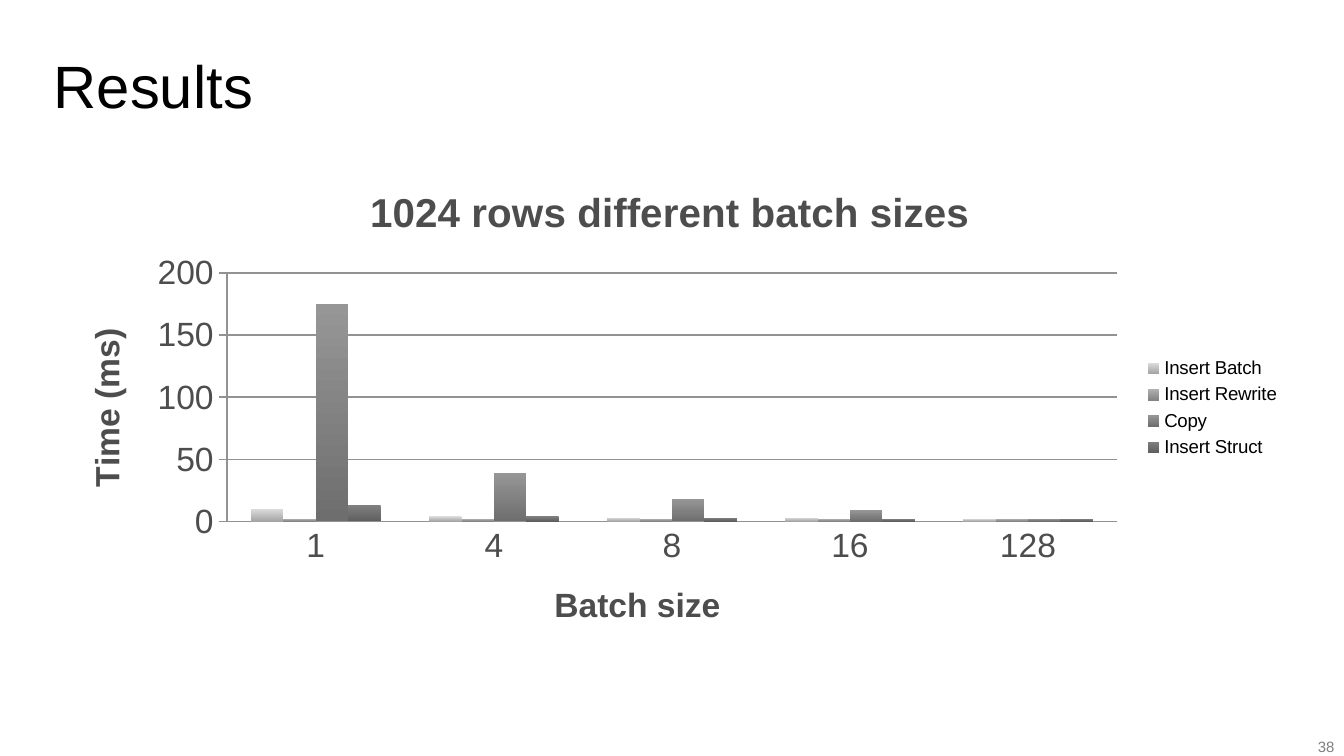
from dataclasses import dataclass

from lxml import etree
from pptx import Presentation
from pptx.chart.data import CategoryChartData
from pptx.dml.color import RGBColor
from pptx.enum.chart import XL_CHART_TYPE, XL_LEGEND_POSITION, XL_TICK_MARK
from pptx.enum.text import MSO_ANCHOR, MSO_AUTO_SIZE, PP_ALIGN
from pptx.oxml.ns import qn
from pptx.util import Inches, Pt

COLUMN = XL_CHART_TYPE.COLUMN_CLUSTERED
RIGHT = XL_LEGEND_POSITION.RIGHT
NO_TICK, OUT_TICK = XL_TICK_MARK.NONE, XL_TICK_MARK.OUTSIDE
TOP, FIXED = MSO_ANCHOR.TOP, MSO_AUTO_SIZE.NONE
START, END = PP_ALIGN.LEFT, PP_ALIGN.RIGHT
FONT = "Arial"
BLACK = RGBColor(0, 0, 0)
DARK = RGBColor(0x4D, 0x4D, 0x4D)
GRAY = RGBColor(0x7F, 0x7F, 0x7F)
RULE = RGBColor(0x92, 0x92, 0x92)


@dataclass
class Method:
    name: str
    times: tuple[int, ...]
    top: RGBColor
    base: RGBColor


METHODS = [
    Method("Insert Batch", (10, 4, 3, 3, 2),
           RGBColor(0xDD, 0xDD, 0xDD), RGBColor(0xA4, 0xA4, 0xA4)),
    Method("Insert Rewrite", (2, 2, 2, 2, 2),
           RGBColor(0xB2, 0xB2, 0xB2), RGBColor(0x84, 0x84, 0x84)),
    Method("Copy", (175, 39, 18, 9, 2),
           RGBColor(0x96, 0x96, 0x96), RGBColor(0x6E, 0x6E, 0x6E)),
    Method("Insert Struct", (13, 4, 3, 2, 2),
           RGBColor(0x80, 0x80, 0x80), RGBColor(0x5E, 0x5E, 0x5E)),
]


def style(font, size: float, color: RGBColor, bold: bool = False) -> None:
    font.name, font.size, font.bold = FONT, Pt(size), bold
    font.color.rgb = color


def write(frame, text: str, size: float, color: RGBColor, bold: bool = False) -> None:
    run = frame.paragraphs[0].add_run()
    run.text = text
    style(run.font, size, color, bold)


def trim(frame, align) -> None:
    frame.margin_left = frame.margin_right = 0
    frame.margin_top = frame.margin_bottom = 0
    frame.word_wrap = True
    frame.auto_size = FIXED
    frame.vertical_anchor = TOP
    frame.paragraphs[0].alignment = align


def place(part, **spots: float) -> None:
    """Fix a chart part at fractions of the chart area."""
    for old in part.findall(qn("c:layout")):
        part.remove(old)
    layout = etree.Element(qn("c:layout"))
    manual = etree.SubElement(layout, qn("c:manualLayout"))
    if part.tag == qn("c:plotArea"):
        etree.SubElement(manual, qn("c:layoutTarget")).set("val", "inner")
    for mode in ("xMode", "yMode"):
        etree.SubElement(manual, qn(f"c:{mode}")).set("val", "edge")
    for key, spot in spots.items():
        etree.SubElement(manual, qn(f"c:{key}")).set("val", str(spot))
    lead = [n for n in part if n.tag in (qn("c:tx"), qn("c:legendPos"))]
    part.insert(len(lead), layout)


def rule(line) -> None:
    line.color.rgb = RULE
    line.width = Pt(0.74)


def dress(axis, title: str, tick) -> None:
    write(axis.axis_title.text_frame, title, 18, DARK, True)
    style(axis.tick_labels.font, 18, DARK)
    axis.major_tick_mark, axis.minor_tick_mark = tick, NO_TICK
    rule(axis.format.line)


# Widescreen page, 16 to 9
deck = Presentation()
deck.slide_width = Inches(10)
deck.slide_height = Inches(10 * 9 / 16)
slide = deck.slides.add_slide(deck.slide_layouts[5])

# Title
head = slide.shapes.title
head.left, head.top = Inches(0.4), Inches(0.36)
head.width, head.height = Inches(9.2), Inches(0.5)
trim(head.text_frame, START)
write(head.text_frame, "Results", 32, BLACK)

# Page number
page = slide.shapes.add_textbox(Inches(9.35), Inches(5.49), Inches(0.58), Inches(0.13))
trim(page.text_frame, END)
write(page.text_frame, "38", 8, GRAY)

# Chart
data = CategoryChartData()
data.categories = ["1", "4", "8", "16", "128"]
for method in METHODS:
    data.add_series(method.name, method.times)
chart = slide.shapes.add_chart(
    COLUMN, Inches(0.4), Inches(1.18), Inches(9.2), Inches(3.7), data).chart
style(chart.font, 10, BLACK)
chart.has_title = True
write(chart.chart_title.text_frame, "1024 rows different batch sizes", 21.6, DARK, True)
chart.has_legend = True
chart.legend.position = RIGHT
chart.legend.include_in_layout = False
style(chart.legend.font, 10, BLACK)

# Axes
dress(chart.category_axis, "Batch size", NO_TICK)
scale = chart.value_axis
dress(scale, "Time (ms)", OUT_TICK)
scale.minimum_scale, scale.maximum_scale, scale.major_unit = 0, 200, 50
scale.has_major_gridlines = True
rule(scale.major_gridlines.format.line)

# Columns
plot = chart.plots[0]
plot.gap_width, plot.overlap, plot.vary_by_categories = 150, 0, False
for series, method in zip(plot.series, METHODS):
    fill = series.format.fill
    fill.gradient()
    fill.gradient_angle = 270
    for stop, color in zip(fill.gradient_stops, (method.top, method.base)):
        stop.color.rgb = color

# Positions inside the chart
root = chart.element
place(root.find(".//" + qn("c:plotArea")), x=0.14, y=0.23, w=0.72, h=0.5)
place(root.find(".//" + qn("c:legend")), x=0.88, y=0.39)
place(chart.chart_title.element, x=0.25, y=0.04)
place(chart.category_axis.axis_title.element, x=0.4, y=0.84)
place(scale.axis_title.element, x=0.02, y=0.33)

deck.save("out.pptx")
